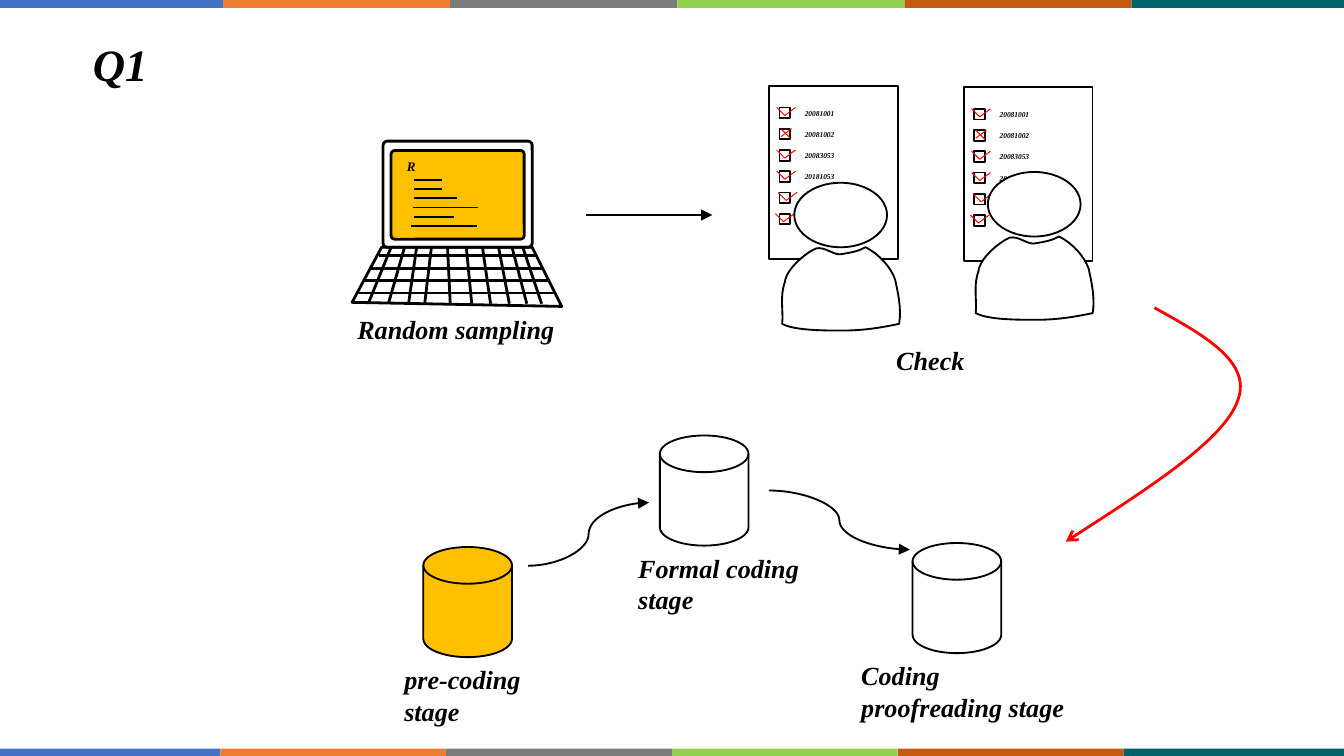
from lxml.etree import SubElement
from pptx import Presentation
from pptx.dml.color import RGBColor
from pptx.enum.shapes import MSO_CONNECTOR, MSO_SHAPE
from pptx.enum.text import MSO_ANCHOR, MSO_AUTO_SIZE, PP_ALIGN
from pptx.oxml.ns import qn
from pptx.util import Inches, Pt

COLORS = {
    "black": "000000", "white": "FFFFFF", "red": "FF0000", "amber": "FFC000",
    "blue": "4472C4", "orange": "ED7D31", "gray": "7C7C7C",
    "green": "92D050", "rust": "C55A11", "teal": "006369",
}
BAND = ["blue", "orange", "gray", "green", "rust", "teal"]
FONT = "Times New Roman"


def color(name):
    return RGBColor.from_string(COLORS[name])


def style(sp, fill, line, weight):
    sp.shadow.inherit = False
    if fill:
        sp.fill.solid()
        sp.fill.fore_color.rgb = color(fill)
    else:
        sp.fill.background()
    if line:
        sp.line.color.rgb = color(line)
        sp.line.width = Pt(weight)
    else:
        sp.line.fill.background()


def add_box(s, kind, x, y, w, h, fill=None, line="black", weight=1):
    sp = s.shapes.add_shape(kind, Inches(x), Inches(y), Inches(w), Inches(h))
    style(sp, fill, line, weight)
    return sp


def add_arrowhead(sp, kind):
    SubElement(sp.line._get_or_add_ln(), qn("a:tailEnd"), type=kind)


def add_line(s, x1, y1, x2, y2, weight=1, line="black",
             kind=MSO_CONNECTOR.STRAIGHT, head=None):
    c = s.shapes.add_connector(kind, Inches(x1), Inches(y1), Inches(x2), Inches(y2))
    c.line.color.rgb = color(line)
    c.line.width = Pt(weight)
    if head:
        add_arrowhead(c, head)
    SubElement(c._element.spPr, qn("a:effectLst"))


def add_outline(s, points, fill=None, line="black", weight=1, close=False):
    pts = [(Inches(x), Inches(y)) for x, y in points]
    builder = s.shapes.build_freeform(*pts[0])
    builder.add_line_segments(pts[1:], close=close)
    sp = builder.convert_to_shape()
    style(sp, fill, line, weight)
    return sp


def add_curve(s, points, **options):
    sp = add_outline(s, points, **options)
    segments = list(sp._element.iter(qn("a:lnTo")))
    for i in range(0, len(segments), 3):
        first, *others = segments[i:i + 3]
        first.tag = qn("a:cubicBezTo")
        for segment in others:
            first.append(segment[0])
            segment.getparent().remove(segment)
    return sp


def format_text(tf, text, size, wrap):
    tf.text = text
    tf.word_wrap = wrap
    tf.auto_size = MSO_AUTO_SIZE.NONE
    tf.vertical_anchor = MSO_ANCHOR.TOP
    p = tf.paragraphs[0]
    p.alignment = PP_ALIGN.LEFT
    font = p.runs[0].font
    font.name, font.size = FONT, Pt(size)
    font.bold = font.italic = True
    font.color.rgb = color("black")


def add_text(s, text, x, y, w, h, size=14, wrap=False):
    sp = s.shapes.add_textbox(Inches(x), Inches(y), Inches(w), Inches(h))
    format_text(sp.text_frame, text, size, wrap)


def add_title(s, text):
    sp = s.shapes.title
    sp.left, sp.top, sp.width, sp.height = (Inches(v) for v in (0.59, 0.22, 0.63, 0.5))
    format_text(sp.text_frame, text, 24, False)


def add_band(s, x, y, w):
    for i, name in enumerate(BAND):
        add_box(s, MSO_SHAPE.RECTANGLE, x + i * w, y, w, 0.06, name, None)


def add_stage(s, x, y, text, text_x, text_y, text_w, fill=None):
    add_box(s, MSO_SHAPE.FLOWCHART_MAGNETIC_DISK, x, y, 0.66, 0.82, fill)
    add_text(s, text, text_x, text_y, text_w, 0.25, wrap=True)


def add_laptop(s):
    for x, y, w, h, fill in [(2.85, 1.05, 1.11, 0.79, None),
                             (2.91, 1.12, 0.99, 0.66, "amber")]:
        sp = add_box(s, MSO_SHAPE.ROUNDED_RECTANGLE, x, y, w, h, fill, weight=1.5)
        sp.adjustments[0] = 0.04
    add_outline(s, [(2.84, 1.84), (3.96, 1.84), (4.18, 2.28), (2.62, 2.25)],
                weight=1.5, close=True)
    for left, right, y in [(2.66, 4.12, 2.18), (2.7, 4.08, 2.09),
                           (2.76, 4.03, 2), (2.82, 3.99, 1.9)]:
        add_line(s, left, y, right, y, 1.5)
    for top, bottom in [(2.91, 2.74), (3.01, 2.89), (3.1, 3.04), (3.21, 3.16),
                        (3.33, 3.35), (3.47, 3.51), (3.59, 3.65), (3.71, 3.79),
                        (3.81, 3.92), (3.89, 4.03)]:
        add_line(s, top, 1.84, bottom, 2.26, 1.5)
    add_text(s, "R", 2.93, 1.13, 0.27, 0.22, 7)
    code = [(3.08, 3.29), (3.08, 3.29), (3.08, 3.4),
            (3.07, 3.56), (3.08, 3.38), (3.06, 3.55)]
    for i, (left, right) in enumerate(code):
        y = 1.34 + i * 0.34 / 5
        add_line(s, left, y, right, y)


def add_checklist(s, x, y):
    add_box(s, MSO_SHAPE.RECTANGLE, x, y, 0.96, 1.29, "white")
    rows = [y + 0.16 + i * 0.79 / 5 for i in range(6)]
    for row in rows:
        add_box(s, MSO_SHAPE.RECTANGLE, x + 0.08, row, 0.08, 0.08, "white")
    for row, shift in zip(rows, [0, None, 0, 0, 0.01, -0.01]):
        if shift is None:
            add_line(s, x + 0.09, row, x + 0.16, row + 0.07, 0.5, "red")
            add_line(s, x + 0.09, row + 0.06, x + 0.17, row, 0.5, "red")
        else:
            left = x + 0.06 + shift
            add_outline(s, [(left, row), (left + 0.06, row + 0.06), (left + 0.14, row)],
                        line="red", weight=0.5)
    numbers = ["20081001", "20081002", "20083053", "20181053"]
    for row, number in zip(rows, numbers):
        add_text(s, number, x + 0.17, row - 0.04, 0.43, 0.17, 4)


def add_person(s, x, y):
    add_box(s, MSO_SHAPE.OVAL, x + 0.09, y, 0.69, 0.48, "white")
    body = [(0, 1.05), (0.09, 1.1), (0.31, 1.1), (0.45, 1.1), (0.6, 1.1),
            (0.73, 1.08), (0.87, 1.05), (0.89, 0.94), (0.86, 0.81), (0.84, 0.72),
            (0.81, 0.63), (0.72, 0.53), (0.62, 0.48), (0.57, 0.51), (0.51, 0.52),
            (0.45, 0.53), (0.39, 0.55), (0.32, 0.47), (0.25, 0.49), (0.18, 0.52),
            (0.03, 0.64), (0.02, 0.74), (-0.02, 0.85), (0.01, 0.95), (0, 1.05)]
    add_curve(s, [(x + dx, y + dy) for dx, dy in body], fill="white", close=True)


def add_return_arrow(s):
    sp = add_curve(s, [(8.59, 2.29), (8.95, 2.49), (9.32, 2.69), (9.21, 2.98),
                       (9.11, 3.27), (8.52, 3.65), (7.93, 4.03)],
                   line="red", weight=1.5)
    sp.width = Inches(1.3)
    next(sp._element.iter(qn("a:path"))).set("w", str(sp.width))
    add_arrowhead(sp, "arrow")


def main():
    prs = Presentation()
    prs.slide_width = Inches(10)
    prs.slide_height = prs.slide_width * 9 // 16
    s = prs.slides.add_slide(prs.slide_layouts[5])

    add_band(s, -0.03, 0, 1.69)
    add_band(s, -0.04, 5.57, 1.68)
    add_title(s, "Q1")

    add_stage(s, 3.15, 4.07, "pre-coding stage", 2.91, 4.89, 1.15, "amber")
    add_stage(s, 4.91, 3.24, "Formal coding stage", 4.65, 4.06, 1.42)
    add_stage(s, 6.79, 4.04, "Coding proofreading stage", 6.31, 4.86, 1.76)
    for ends in [(3.93, 4.21, 4.83, 3.74), (5.72, 3.65, 6.77, 4.09)]:
        add_line(s, *ends, kind=MSO_CONNECTOR.CURVE, head="triangle")
    add_return_arrow(s)

    add_laptop(s)
    add_text(s, "Random sampling", 2.56, 2.28, 1.68, 0.34)
    add_line(s, 4.36, 1.6, 5.3, 1.6, 1.5, head="triangle")

    add_checklist(s, 7.17, 0.65)
    add_checklist(s, 5.72, 0.64)
    add_person(s, 7.26, 1.28)
    add_person(s, 5.82, 1.36)
    add_text(s, "Check", 6.57, 2.51, 0.72, 0.34)

    prs.save("out.pptx")


if __name__ == "__main__":
    main()
